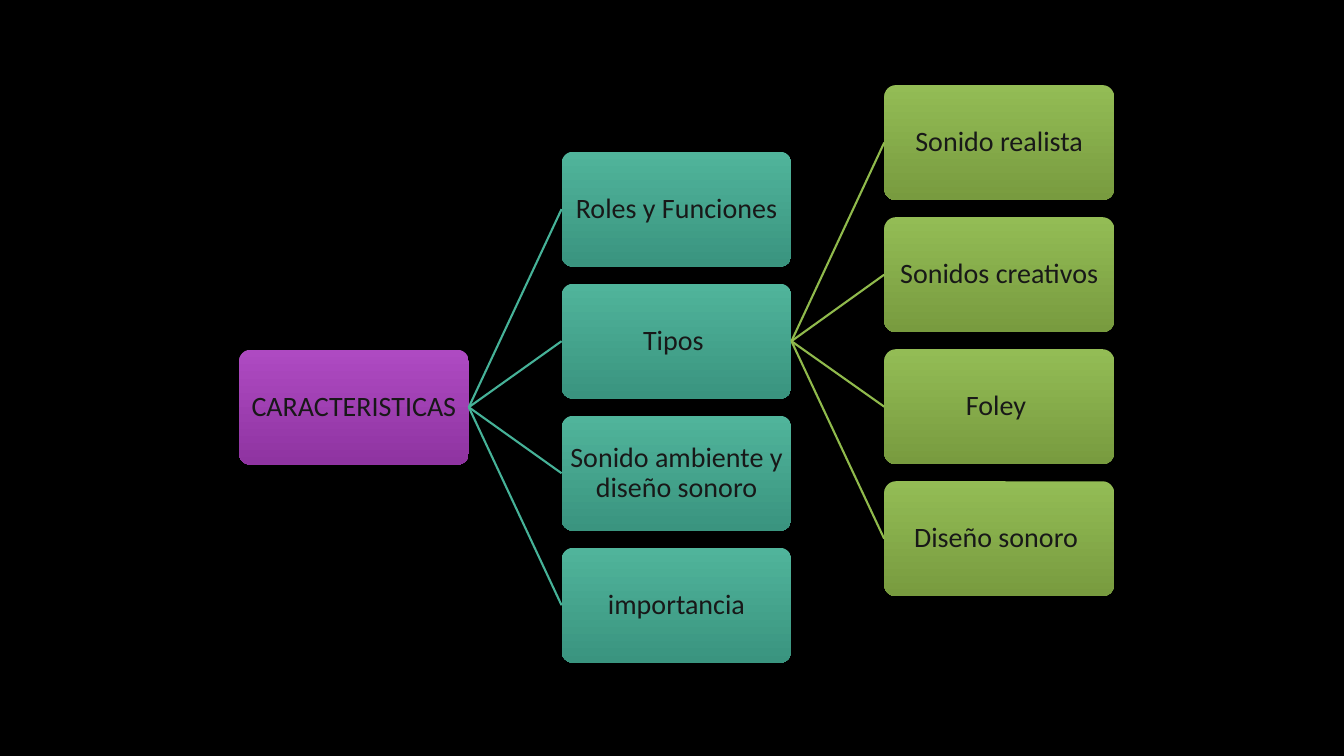
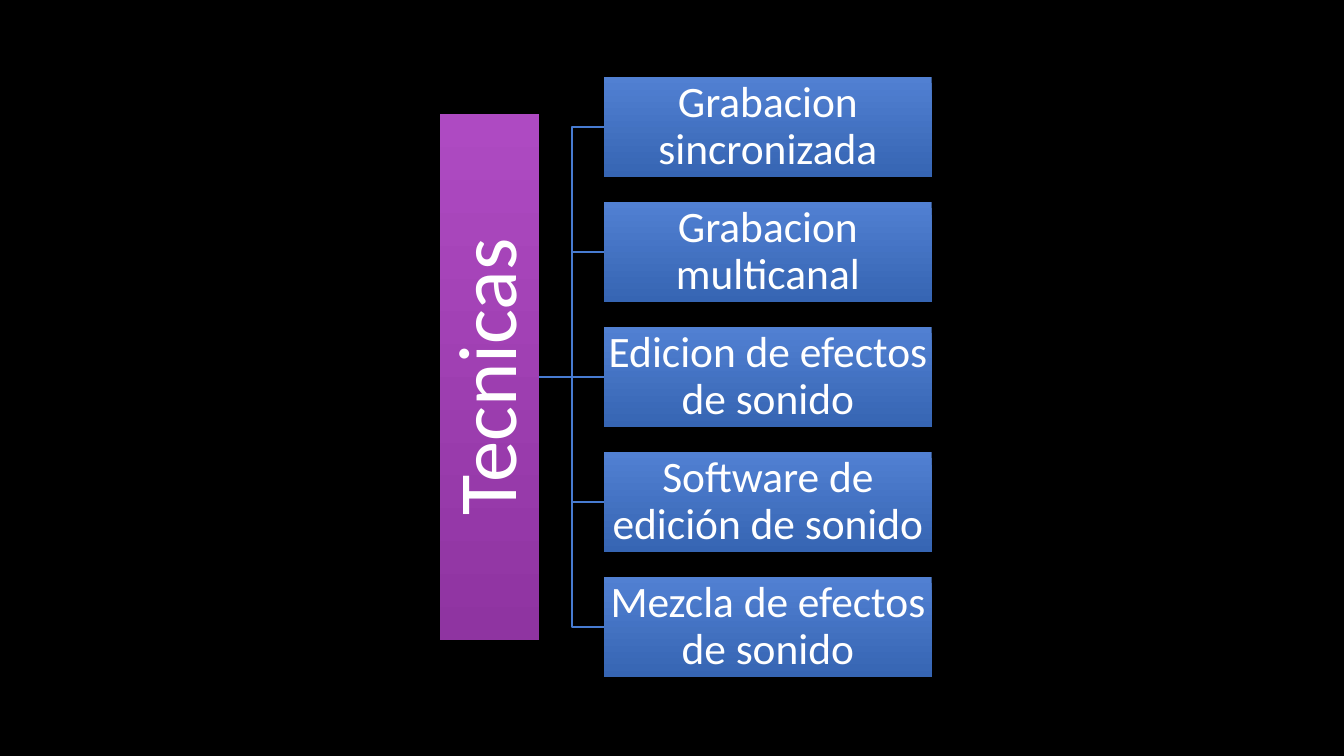
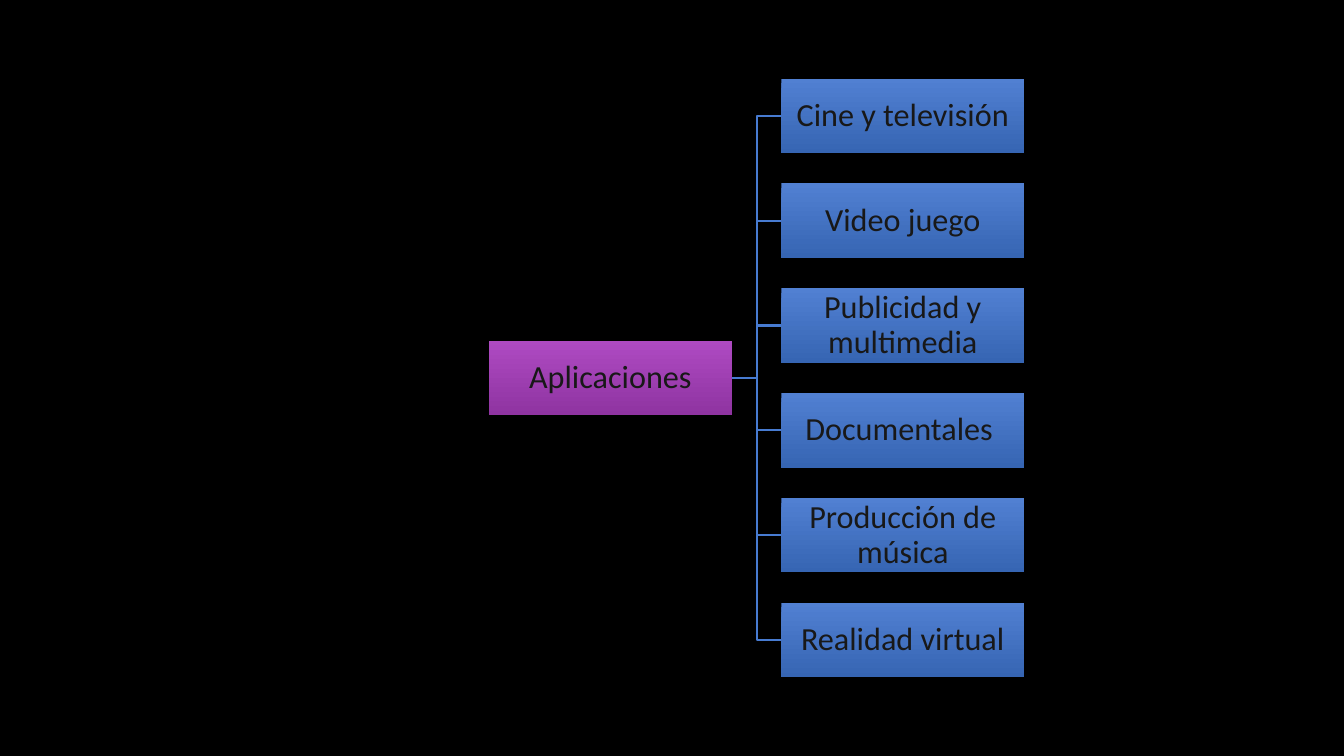
import dataclasses

import pptx
import pptx.dml.color
import pptx.enum.shapes
import pptx.enum.text
import pptx.oxml
import pptx.oxml.ns
import pptx.util

Inches = pptx.util.Inches
Shapes = pptx.enum.shapes.MSO_SHAPE
Connectors = pptx.enum.shapes.MSO_CONNECTOR
RIGHT_SITE, LEFT_SITE = 3, 1


@dataclasses.dataclass(frozen=True)
class Theme:
    """Colours, type sizes and line settings shared by the slides."""

    font: str = "Calibri"
    background: str = "000000"
    dark: str = "181818"
    light: str = "FFFFFF"
    purple: tuple = ("AE4AC2", "8F34A1")
    teal: tuple = ("50B49B", "3A947F")
    green: tuple = ("93BC55", "789B3F")
    blue: tuple = ("5180D2", "3665B3")
    teal_line: str = "46B298"
    green_line: str = "90BA4C"
    blue_line: str = "477BD1"
    line_width: float = 1.5
    line_spacing: float = 0.9
    corner: float = 0.1
    tree_size: int = 20
    technique_size: int = 31
    banner_size: int = 59
    application_size: int = 23


@dataclasses.dataclass(frozen=True)
class BoxStyle:
    """Look and size of one kind of box."""

    width: float
    height: float
    gradient: tuple
    size: int
    colour: str
    inset: float = 0.02
    rounded: bool = False
    upward: bool = False


THEME = Theme()


def rgb(value):
    """Turn a hexadecimal string into a colour."""
    return pptx.dml.color.RGBColor.from_string(value)


def add_box(slide, text, left, centre, style):
    """Add a gradient box with centred text around a vertical centre."""
    preset = Shapes.ROUNDED_RECTANGLE if style.rounded else Shapes.RECTANGLE
    box = slide.shapes.add_shape(
        preset, Inches(left), Inches(centre - style.height / 2),
        Inches(style.width), Inches(style.height))
    if style.rounded:
        box.adjustments[0] = THEME.corner
    box.shadow.inherit = False
    box.line.fill.background()
    box.fill.gradient()
    box.fill.gradient_angle = 270
    for stop, colour in zip(box.fill.gradient_stops, style.gradient):
        stop.color.rgb = rgb(colour)
    frame = box.text_frame
    frame.text = text
    frame.word_wrap = True
    frame.vertical_anchor = pptx.enum.text.MSO_ANCHOR.MIDDLE
    frame.margin_left = frame.margin_right = Inches(style.inset)
    frame.margin_top = frame.margin_bottom = Inches(style.inset)
    if style.upward:
        box.element.txBody.find(pptx.oxml.ns.qn("a:bodyPr")).set("vert", "vert270")
    para = frame.paragraphs[0]
    para.alignment = pptx.enum.text.PP_ALIGN.CENTER
    para.line_spacing = THEME.line_spacing
    span = para.runs[0]
    span.font.name = THEME.font
    span.font.size = pptx.util.Pt(style.size)
    span.font.color.rgb = rgb(style.colour)
    return box


def add_column(slide, texts, left, centre, step, style):
    """Add evenly spaced boxes around a vertical centre."""
    first = centre - step * (len(texts) - 1) / 2
    return [add_box(slide, text, left, first + index * step, style)
            for index, text in enumerate(texts)]


def add_branches(slide, parent, children, kind, colour):
    """Join the right side of a parent to the left side of each child."""
    for child in children:
        offset = child.top + child.height / 2 - parent.top - parent.height / 2
        level = abs(offset) < Inches(0.01)
        branch = slide.shapes.add_connector(
            Connectors.STRAIGHT if level else kind, 0, 0, 0, 0)
        branch.begin_connect(parent, RIGHT_SITE)
        branch.end_connect(child, LEFT_SITE)
        branch.line.color.rgb = rgb(colour)
        branch.line.width = pptx.util.Pt(THEME.line_width)
        branch.element.spPr.append(pptx.oxml.parse_xml(
            f"<a:effectLst {pptx.oxml.ns.nsdecls('a')}/>"))


def build_characteristics(slide):
    """Build the three-level tree of characteristics."""
    root_style = BoxStyle(2.28, 1.14, THEME.purple, THEME.tree_size,
                          THEME.dark, inset=0.04, rounded=True)
    topic_style = dataclasses.replace(root_style, gradient=THEME.teal)
    type_style = dataclasses.replace(root_style, gradient=THEME.green)
    step = 1.31
    root = add_box(slide, "CARACTERISTICAS", 2.37, 4.04, root_style)
    topics = add_column(
        slide, ["Roles y Funciones", "Tipos ",
                "Sonido ambiente y diseño sonoro", "importancia"],
        5.57, 4.04, step, topic_style)
    types = add_column(
        slide, ["Sonido realista", "Sonidos creativos", "Foley ",
                "Diseño sonoro "],
        8.77, 3.38, step, type_style)
    add_branches(slide, root, topics, Connectors.STRAIGHT, THEME.teal_line)
    add_branches(slide, topics[1], types, Connectors.STRAIGHT, THEME.green_line)


def build_techniques(slide):
    """Build the list of techniques beside an upright banner."""
    banner_style = BoxStyle(0.99, 5.21, THEME.purple, THEME.banner_size,
                            THEME.light, inset=0.04, upward=True)
    technique_style = BoxStyle(3.25, 0.99, THEME.blue, THEME.technique_size,
                               THEME.light)
    centre = 3.74
    banner = add_box(slide, "Tecnicas", 4.36, centre, banner_style)
    techniques = add_column(
        slide, ["Grabacion sincronizada", "Grabacion multicanal",
                "Edicion de efectos de sonido",
                "Software de edición de sonido", "Mezcla de efectos de sonido"],
        5.99, centre, 1.24, technique_style)
    add_branches(slide, banner, techniques, Connectors.ELBOW, THEME.blue_line)


def build_applications(slide):
    """Build the tree of applications."""
    root_style = BoxStyle(2.41, 0.74, THEME.purple, THEME.application_size,
                          THEME.dark)
    use_style = dataclasses.replace(root_style, gradient=THEME.blue)
    centre = 3.75
    root = add_box(slide, "Aplicaciones", 4.85, centre, root_style)
    uses = add_column(
        slide, ["Cine y televisión", "Video juego", "Publicidad y multimedia",
                "Documentales ", "Producción de música", "Realidad virtual"],
        7.75, centre, 1.04, use_style)
    add_branches(slide, root, uses, Connectors.ELBOW, THEME.blue_line)


def main():
    """Build and save the deck."""
    deck = pptx.Presentation()
    deck.slide_width, deck.slide_height = Inches(13.33), Inches(7.5)
    backdrop = deck.slide_master.background.fill
    backdrop.solid()
    backdrop.fore_color.rgb = rgb(THEME.background)
    blank = deck.slide_layouts.get_by_name("Blank")
    for build in (build_characteristics, build_techniques, build_applications):
        build(deck.slides.add_slide(blank))
    deck.save("out.pptx")


if __name__ == "__main__":
    main()
